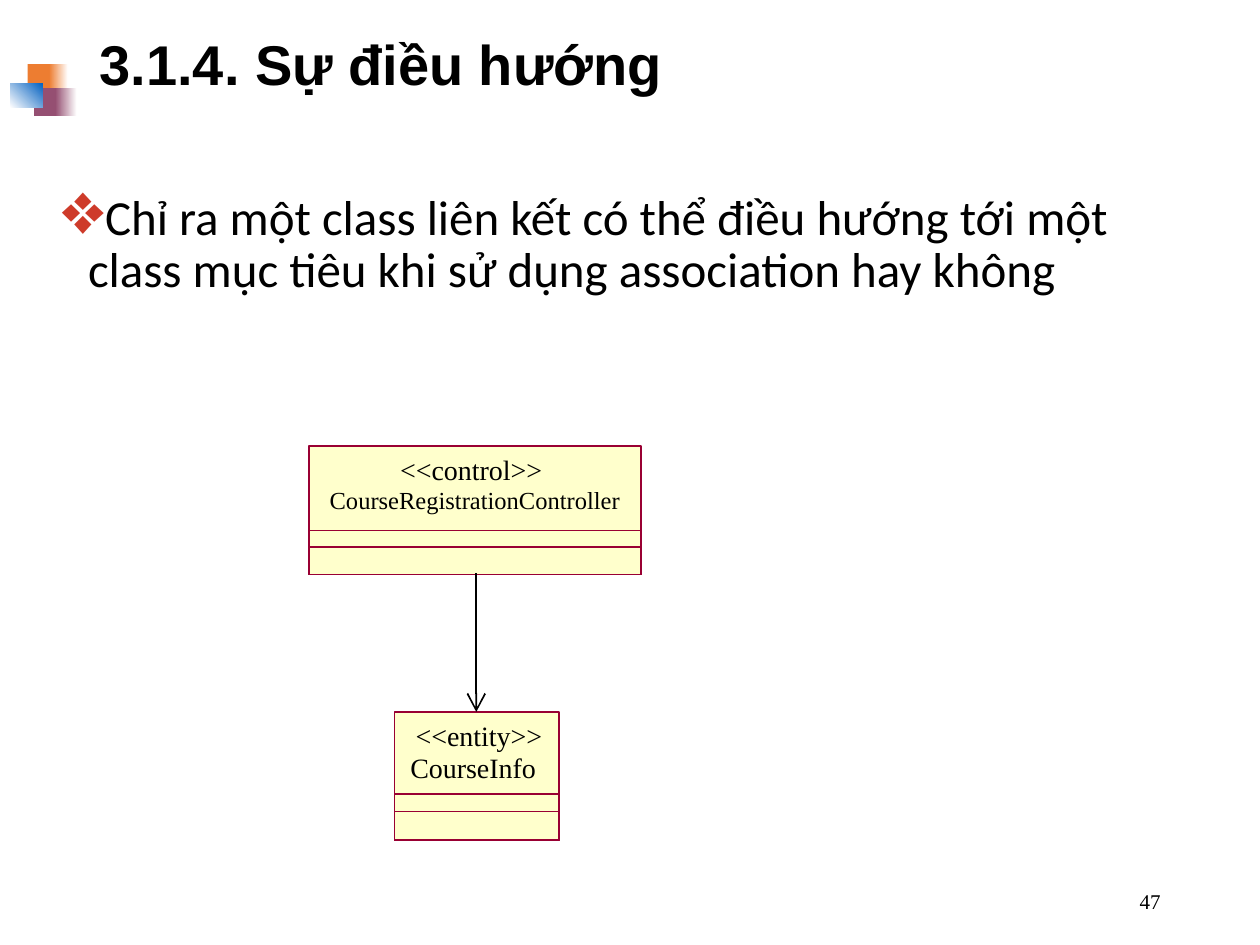
from lxml import etree
from pptx import Presentation
from pptx import util as u
from pptx.dml.color import RGBColor
from pptx.enum import shapes, text
from pptx.oxml.ns import qn

WIDTH, HEIGHT = 10, 7.5
BLACK = RGBColor(0x00, 0x00, 0x00)
WHITE = RGBColor(0xFF, 0xFF, 0xFF)
ORANGE = RGBColor(0xED, 0x7D, 0x31)
PLUM = RGBColor(0x95, 0x4F, 0x72)
BLUE = RGBColor(0x05, 0x63, 0xC1)
CREAM = RGBColor(0xFF, 0xFF, 0xCC)
CRIMSON = RGBColor(0x99, 0x00, 0x33)
BULLET_RED = "CE3B2A"
SERIF = "Times New Roman"


def inches(*lengths):
    return [u.Inches(length) for length in lengths]


def add_rect(slide, box):
    rect = slide.shapes.add_shape(shapes.MSO_SHAPE.RECTANGLE, *inches(*box))
    rect.shadow.inherit = False
    return rect


def add_tile(slide, box, start, end=None, angle=0):
    """Borderless block, solid or fading from start to end."""
    tile = add_rect(slide, box)
    tile.line.fill.background()
    if end is None:
        tile.fill.solid()
        tile.fill.fore_color.rgb = start
        return
    tile.fill.gradient()
    tile.fill.gradient_angle = angle
    for stop, color in zip(tile.fill.gradient_stops, (start, end)):
        stop.color.rgb = color


def add_ornament(slide):
    add_tile(slide, (0.22, 0.51, 0.2, 0.22), ORANGE)
    add_tile(slide, (0.39, 0.51, 0.15, 0.22), ORANGE, WHITE)
    add_tile(slide, (0.27, 0.7, 0.19, 0.22), PLUM)
    add_tile(slide, (0.44, 0.7, 0.17, 0.22), PLUM, WHITE)
    add_tile(slide, (0.08, 0.66, 0.26, 0.19), WHITE, BLUE, angle=45)


def style(paragraph, size, name, align=text.PP_ALIGN.LEFT, bold=False):
    paragraph.alignment = align
    font = paragraph.font
    font.size, font.name, font.bold = u.Pt(size), name, bold
    font.color.rgb = BLACK


def set_title(slide, words):
    title = slide.shapes.title
    title.left, title.top, title.width, title.height = inches(0.69, 0.13, 8.62, 0.81)
    title.text_frame.text = words
    title.text_frame.vertical_anchor = text.MSO_ANCHOR.MIDDLE
    heading = title.text_frame.paragraphs[0]
    heading.line_spacing = 0.9
    style(heading, 32, "Arial", bold=True)


def add_bullet(paragraph, indent, percent):
    props = paragraph._p.get_or_add_pPr()
    props.set("marL", str(u.Inches(indent)))
    props.set("indent", str(-u.Inches(indent)))
    color = etree.SubElement(props, qn("a:buClr"))
    etree.SubElement(color, qn("a:srgbClr"), val=BULLET_RED)
    etree.SubElement(props, qn("a:buSzPct"), val=str(percent * 1000))
    etree.SubElement(props, qn("a:buChar"), char="❖")


def add_body(slide, words):
    frame = slide.shapes.add_textbox(*inches(0.4, 1.48, 9.28, 1.68)).text_frame
    frame.word_wrap = True
    statement = frame.paragraphs[0]
    statement.text = words
    add_bullet(statement, 0.2, percent=150)
    statement.line_spacing = 0.9
    style(statement, 28, "Calibri")


def add_page_number(slide, number):
    frame = slide.shapes.add_textbox(*inches(7.06, 6.95, 2.25, 0.4)).text_frame
    frame.word_wrap = True
    frame.vertical_anchor = text.MSO_ANCHOR.MIDDLE
    frame.paragraphs[0].text = str(number)
    style(frame.paragraphs[0], 12, SERIF, text.PP_ALIGN.RIGHT)


def add_label(slide, words, box, size):
    frame = slide.shapes.add_textbox(*inches(*box)).text_frame
    frame.margin_left = frame.margin_top = frame.margin_right = frame.margin_bottom = 0
    frame.word_wrap = False
    frame.auto_size = text.MSO_AUTO_SIZE.SHAPE_TO_FIT_TEXT
    frame.paragraphs[0].text = words
    style(frame.paragraphs[0], size, SERIF, text.PP_ALIGN.CENTER)


def add_class(slide, box, compartments):
    """UML class box; each compartment runs from its top to the box's foot."""
    left, top, width, height = box
    for offset in (0, *compartments):
        part = add_rect(slide, (left, top + offset, width, height - offset))
        part.line.color.rgb = CRIMSON
        part.line.width = u.Pt(1)
        if offset:
            part.fill.background()
        else:
            part.fill.solid()
            part.fill.fore_color.rgb = CREAM


def add_arrow(slide, x, top, bottom):
    arrow = slide.shapes.add_connector(
        shapes.MSO_CONNECTOR.STRAIGHT, *inches(x, top, x, bottom))
    arrow.line.color.rgb = BLACK
    arrow.line.width = u.Pt(1)
    etree.SubElement(arrow.line._get_or_add_ln(), qn("a:tailEnd"),
                     type="arrow", w="lg", len="lg")
    etree.SubElement(arrow._element.spPr, qn("a:effectLst"))


def main():
    deck = Presentation()
    deck.slide_width, deck.slide_height = inches(WIDTH, HEIGHT)
    slide = deck.slides.add_slide(deck.slide_layouts[5])

    add_ornament(slide)
    set_title(slide, "3.1.4. Sự điều hướng")
    add_body(slide, "Chỉ ra một class liên kết có thể điều hướng tới một "
                    "class mục tiêu khi sử dụng association hay không")
    add_page_number(slide, 47)

    add_class(slide, (2.45, 3.54, 2.64, 1.02), (0.67, 0.8))
    add_label(slide, "<<control>>", (3.17, 3.59, 1.14, 0.27), 16)
    add_label(slide, "CourseRegistrationController", (2.52, 3.85, 2.5, 0.23), 14)

    add_class(slide, (3.13, 5.65, 1.31, 1.02), (0.65, 0.79))
    add_label(slide, "<<entity>>", (3.29, 5.7, 1.02, 0.27), 16)
    add_label(slide, "CourseInfo", (3.21, 5.96, 1.09, 0.27), 16)

    add_arrow(slide, 3.78, 4.55, 5.65)
    deck.save("out.pptx")


if __name__ == "__main__":
    main()
